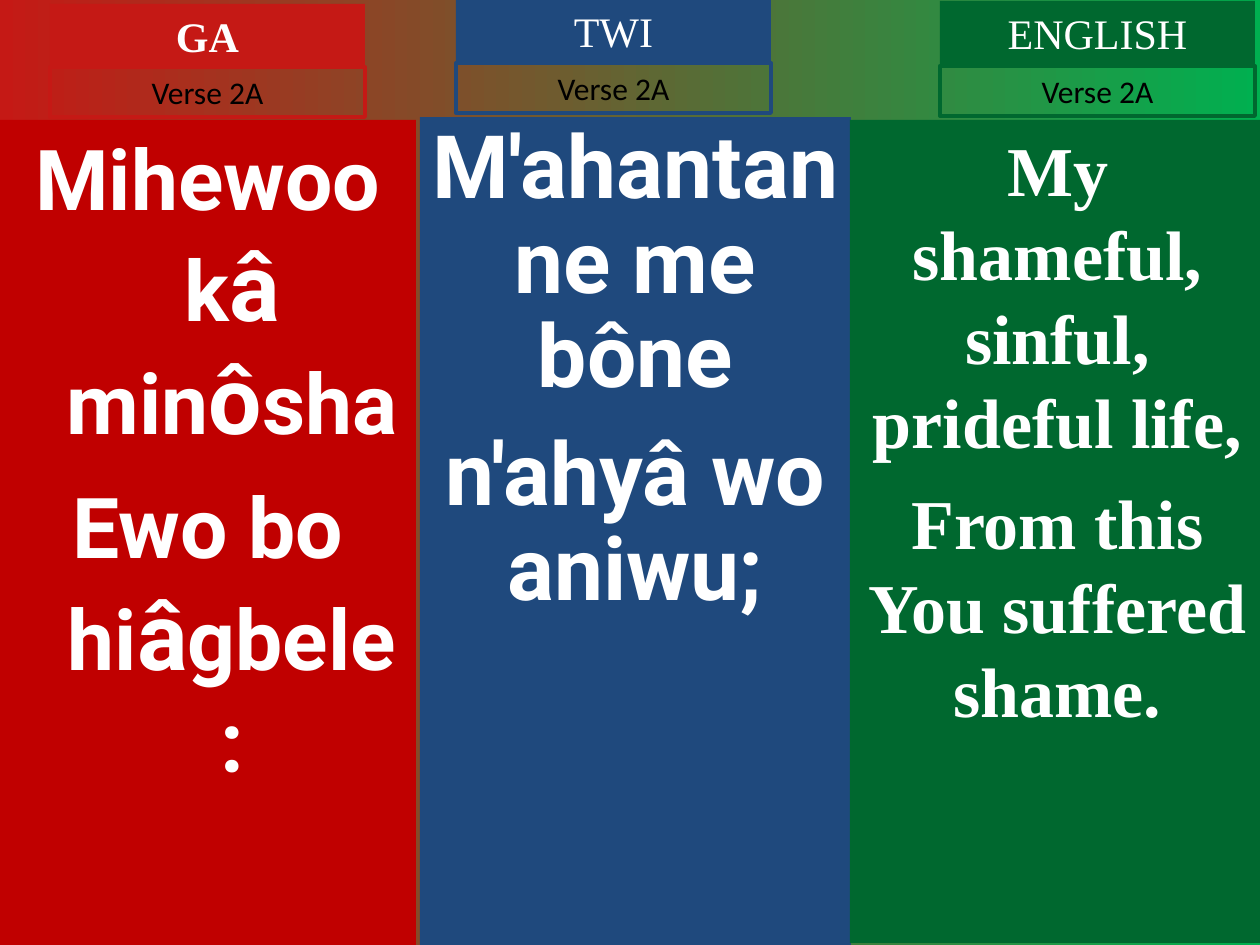
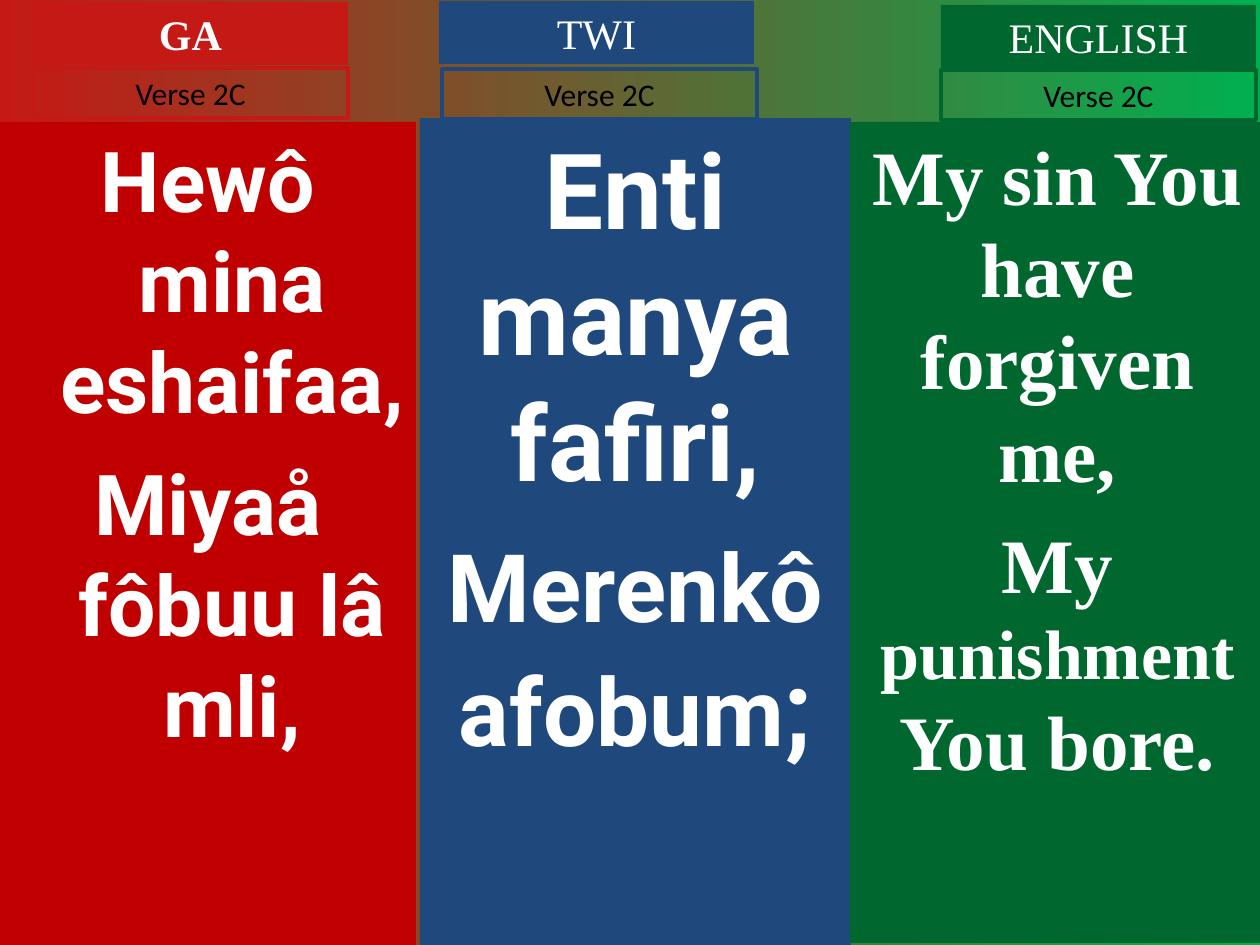
from dataclasses import dataclass

from pptx import Presentation
from pptx.dml.color import RGBColor
from pptx.enum.shapes import MSO_SHAPE as Shape
from pptx.enum.text import MSO_ANCHOR as Anchor, MSO_AUTO_SIZE as AutoSize, PP_ALIGN as Align
from pptx.util import Pt

EMU_PER_PX = 914400 / 126
SLIDE_W, SLIDE_H = 1260, 945


@dataclass(frozen=True)
class Theme:
    red: str = "C51915"
    deep_red: str = "C00000"
    blue: str = "1F497D"
    green: str = "00682F"
    bright_green: str = "00B050"
    white: str = "FFFFFF"
    black: str = "000000"
    serif: str = "Times New Roman"
    sans: str = "Calibri"
    lyric: str = "Roboto"
    heading_size: int = 24
    verse_size: int = 18
    verse_line: float = 2.25


T = Theme()

# Heading and verse label share one size in every column.
LABEL_W, HEADING_H, VERSE_H = 315, 63, 50
HANG = 48
SIDE_INSET = 11  # narrow enough for the longest words to stay on one line

COLUMNS = [
    dict(name="GA", left=0, width=416, bottom=945, fill=T.deep_red, accent=T.red,
         font=T.lyric, bold_heading=True, hang=HANG),
    dict(name="TWI", left=420, width=431, bottom=945, fill=T.blue, accent=T.blue,
         font=T.lyric, bold_heading=False, hang=0),
    dict(name="ENGLISH", left=850, width=415, bottom=943, fill=T.green, accent=T.green,
         font=T.serif, bold_heading=False, hang=0),
]

# Per column: left/top of heading and verse label, top of the lyric panel,
# then paragraphs made of (text, size) runs.
SLIDES = [
    ("Verse 2A", [
        dict(heading=(50, 4), verse=(50, 67), top=120, gap=12, lines=[
            [("Mihewoo k", 48), ("â", 54), (" min", 48), ("ô", 54), ("sha", 48)],
            [("Ewo bo hi", 48), ("â", 54), ("gbele:", 48)]]),
        dict(heading=(456, -1), verse=(456, 63), top=117, gap=13.5, spacing=0.9, lines=[
            [("M'ahantan ne me bône", 50)],
            [("n'ahyâ wo aniwu;", 50)]]),
        dict(heading=(940, 1), verse=(940, 66), top=120, gap=10, lines=[
            [("My shameful, sinful, prideful life,", 40)],
            [("From this You suffered shame.", 40)]]),
    ]),
    ("Verse 2C", [
        dict(heading=(33, 2), verse=(33, 68), top=122, gap=12, lines=[
            [("Hewô mina eshaifaa,", 48)],
            [("Miyaå fôbuu lâ mli,", 48)]]),
        dict(heading=(439, 1), verse=(442, 69), top=118, gap=15, lines=[
            [("Enti manya fafiri,", 60)],
            [("Merenkô afobum", 54), (";", 60)]]),
        dict(heading=(941, 5), verse=(941, 70), top=122, gap=11, lines=[
            [("My sin You have forgiven me,", 44)],
            [("My ", 44), ("punishment ", 40), ("You bore.", 44)]]),
    ]),
]


def px(n):
    return round(n * EMU_PER_PX)


def rgb(code):
    return RGBColor.from_string(code)


def add_box(s, left, top, width, height, fill=None, line=None):
    sp = s.shapes.add_shape(Shape.RECTANGLE, px(left), px(top), px(width), px(height))
    sp.shadow.inherit = False
    if fill:
        sp.fill.solid()
        sp.fill.fore_color.rgb = rgb(fill)
    else:
        sp.fill.background()
    if line:
        sp.line.color.rgb = rgb(line)
        sp.line.width = Pt(T.verse_line)
    else:
        sp.line.fill.background()
    return sp


def write(sp, lines, *, font, color, bold=False, gap=0, spacing=None, hang=0,
          anchor=Anchor.TOP, fit=AutoSize.NONE):
    """Fill a shape with centred paragraphs, each a list of (text, size) runs."""
    tf = sp.text_frame
    tf.word_wrap = True
    tf.auto_size = fit
    tf.vertical_anchor = anchor
    tf.margin_left = tf.margin_right = px(SIDE_INSET)
    for i, runs in enumerate(lines):
        p = tf.add_paragraph() if i else tf.paragraphs[0]
        p.alignment = Align.CENTER
        if i:
            p.space_before = Pt(gap)
        if spacing:
            p.line_spacing = spacing
        if hang:
            pPr = p._p.get_or_add_pPr()
            pPr.set("marL", str(px(hang)))
            pPr.set("indent", str(-px(hang)))
        for text, size in runs:
            r = p.add_run()
            r.text = text
            r.font.name = font
            r.font.size = Pt(size)
            r.font.bold = bold
            r.font.color.rgb = rgb(color)


def paint_background(s):
    fill = s.background.fill
    fill.gradient()
    fill.gradient_angle = 0
    for stop, color in zip(fill.gradient_stops, (T.red, T.bright_green)):
        stop.color.rgb = rgb(color)


def add_column(s, col, part, verse):
    panel = add_box(s, col["left"], part["top"], col["width"],
                    col["bottom"] - part["top"], fill=col["fill"])
    write(panel, part["lines"], font=col["font"], color=T.white, bold=True,
          gap=part["gap"], spacing=part.get("spacing"), hang=col["hang"])

    label = dict(anchor=Anchor.MIDDLE, fit=AutoSize.SHAPE_TO_FIT_TEXT)
    heading = add_box(s, *part["heading"], LABEL_W, HEADING_H, fill=col["accent"])
    write(heading, [[(col["name"], T.heading_size)]], font=T.serif, color=T.white,
          bold=col["bold_heading"], **label)
    tag = add_box(s, *part["verse"], LABEL_W, VERSE_H, line=col["accent"])
    write(tag, [[(verse, T.verse_size)]], font=T.sans, color=T.black, **label)


def main():
    prs = Presentation()
    prs.slide_width, prs.slide_height = px(SLIDE_W), px(SLIDE_H)
    blank = prs.slide_layouts.get_by_name("Blank")
    for verse, parts in SLIDES:
        s = prs.slides.add_slide(blank)
        paint_background(s)
        for col, part in zip(COLUMNS, parts):
            add_column(s, col, part, verse)
    prs.save("out.pptx")


if __name__ == "__main__":
    main()
